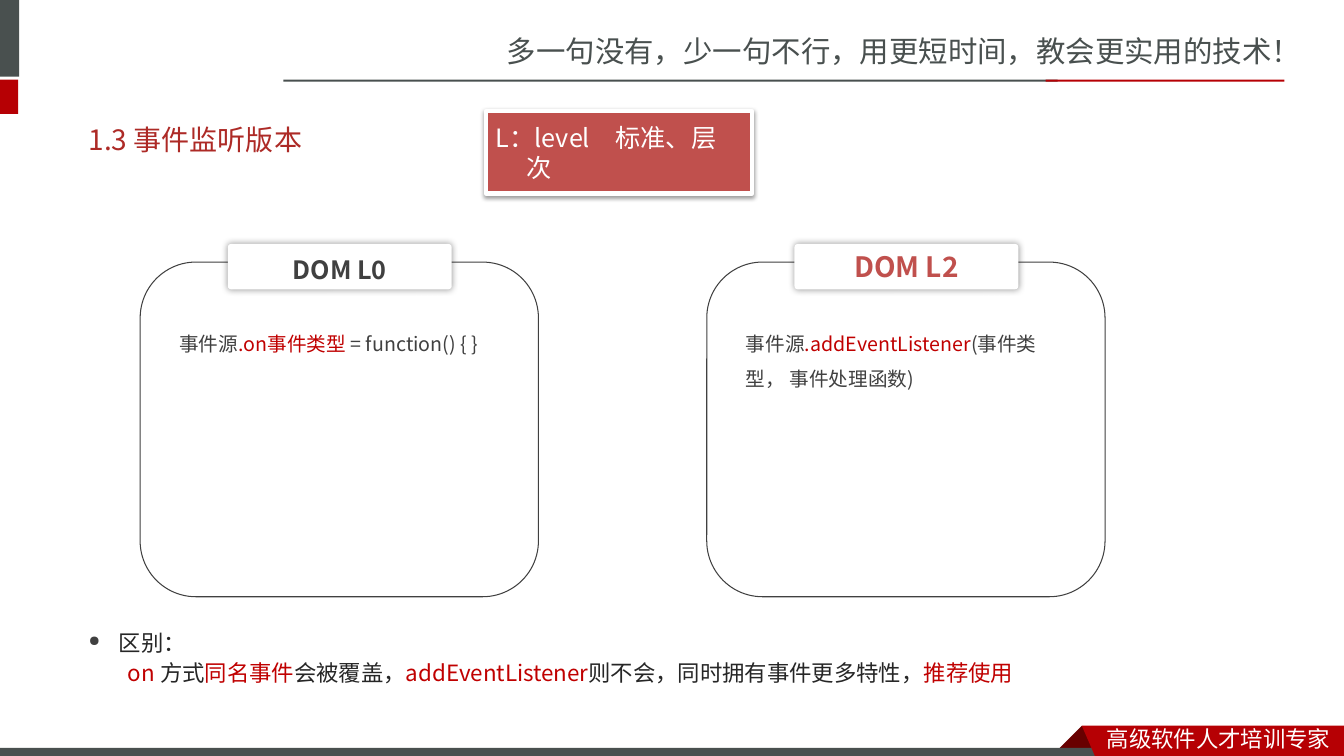
from lxml import etree
from pptx import Presentation, util as u
from pptx.dml.color import RGBColor
from pptx.enum import shapes, text
from pptx.oxml import ns

WIDE, HIGH = 13.33, 7.5
SLATE = RGBColor(0x49, 0x50, 0x4F)
RED = RGBColor(0xB6, 0x00, 0x04)
DARK = RGBColor(0x68, 0x00, 0x00)
TITLE = RGBColor(0xAD, 0x2A, 0x26)
BRICK = RGBColor(0xC0, 0x50, 0x4D)
HOT = RGBColor(0xC0, 0x00, 0x00)
GRAY = RGBColor(0x40, 0x40, 0x40)
INK = RGBColor(0x26, 0x26, 0x26)
WHITE = RGBColor(0xFF, 0xFF, 0xFF)
SC, JP = "Noto Sans CJK SC", "Noto Sans CJK JP"
RECT = shapes.MSO_SHAPE.RECTANGLE
ROUND = shapes.MSO_SHAPE.ROUNDED_RECTANGLE
LEFT, MID = text.PP_ALIGN.LEFT, text.PP_ALIGN.CENTER


def paint(shape, fill=None, line=None, weight=0.75):
    """Set the fill and outline of a shape and drop its shadow."""
    shape.shadow.inherit = False
    if fill is None:
        shape.fill.background()
    else:
        shape.fill.solid()
        shape.fill.fore_color.rgb = fill
    if line is None:
        shape.line.fill.background()
    else:
        shape.line.color.rgb = line
        shape.line.width = u.Pt(weight)
    return shape


def block(slide, box, kind=RECT, **look):
    """Add a preset shape in the given box."""
    shape = slide.shapes.add_shape(kind, *map(u.Inches, box))
    return paint(shape, **look)


def outline(slide, points, fill):
    """Add a filled polygon through the given points."""
    spots = [(u.Inches(x), u.Inches(y)) for x, y in points]
    path = slide.shapes.build_freeform(*spots[0])
    path.add_line_segments(spots[1:])
    return paint(path.convert_to_shape(), fill=fill)


def shade(shape, alpha, blur, dist, angle):
    """Give a shape a soft black outer shadow."""
    effects = shape._element.spPr.find(ns.qn("a:effectLst"))
    outer = etree.SubElement(effects, ns.qn("a:outerShdw"), blurRad=str(u.Pt(blur)),
                             dist=str(u.Pt(dist)), dir=str(angle * 60000),
                             algn="ctr", rotWithShape="0")
    tint = etree.SubElement(outer, ns.qn("a:srgbClr"), val="000000")
    etree.SubElement(tint, ns.qn("a:alpha"), val=str(alpha * 1000))


def label(slide, box, words, **style):
    """Add a text box in the given box and write in it."""
    shape = slide.shapes.add_textbox(*map(u.Inches, box))
    write(shape, words, **style)
    return shape


def write(shape, *paras, size=16, font=JP, bold=False, align=LEFT,
          anchor=text.MSO_ANCHOR.TOP, pitch=None, dents=()):
    """Write paragraphs, each a list of (words, colour) runs."""
    frame = shape.text_frame
    frame.word_wrap = True
    frame.vertical_anchor = anchor
    for i, runs in enumerate(paras):
        para = frame.paragraphs[0] if i == 0 else frame.add_paragraph()
        para.alignment = align
        if pitch:
            para.line_spacing = u.Pt(pitch)
        if dents:
            props = para._p.get_or_add_pPr()
            margin, first = dents[i]
            props.set("marL", str(u.Inches(margin)))
            props.set("indent", str(u.Inches(first)))
        for words, color in runs:
            run = para.add_run()
            run.text = words
            run.font.size = u.Pt(size)
            run.font.bold = bold
            run.font.name = font
            run.font.color.rgb = color
            etree.SubElement(run._r.get_or_add_rPr(), ns.qn("a:ea"), typeface=font)


def header(slide):
    """Draw the corner marks, the slogan and its two-colour rule."""
    block(slide, (0, 0, 0.19, 0.76), fill=SLATE)
    block(slide, (0, 0.79, 0.18, 0.34), fill=RED)
    block(slide, (2.81, 0.79, 7.68, 0.02), fill=SLATE)
    block(slide, (10.37, 0.79, 2.37, 0.02), fill=RED)
    label(slide, (4.93, 0.28, 8.4, 0.47),
          [("多一句没有，少一句不行，用更短时间，教会更实用的技术！", SLATE)], size=21, font=SC)


def footer(slide):
    """Draw the bottom bar and the folded ribbon."""
    fold, top = 10.73, 7.2
    outline(slide, [(fold, top), (fold + 0.22, 7.42), (fold - 0.22, 7.42)], DARK)
    block(slide, (0, 7.42, 10.99, HIGH - 7.42), fill=SLATE)
    outline(slide, [(fold, top), (WIDE, top), (WIDE, HIGH), (fold + 0.13, HIGH)], RED)
    label(slide, (10.88, 7.14, WIDE - 10.88, 0.36),
          [("高级软件人才培训专家", WHITE)], size=16, font=SC)


def callout(slide, box):
    """Draw the framed note on the letter L."""
    note = block(slide, box, fill=BRICK, line=WHITE, weight=3)
    shade(note, 38, 3.1, 1.6, 90)
    note.text_frame.margin_right = u.Inches(0.14)
    write(note, [("L：level　标准、层次", WHITE)], size=18, pitch=21.4,
          anchor=text.MSO_ANCHOR.MIDDLE, dents=[(0.3, -0.3)])


def panel(slide, left, top, name, color, size, drop, width, code):
    """Draw a rounded panel with a name tab and a line of code."""
    block(slide, (left, top, 3.95, 3.32), ROUND, line=GRAY)
    tab = block(slide, (left + 0.87, top - 0.18, 2.22, 0.45), ROUND, fill=WHITE)
    tab.adjustments[0] = 0.07
    shade(tab, 40, 5, 0, 0)
    tab.text_frame.margin_top = u.Inches(0.05 + drop)
    write(tab, [(name, color)], size=size, bold=True, align=MID,
          anchor=text.MSO_ANCHOR.MIDDLE)
    label(slide, (left + 0.29, top + 0.53, width, 2.27), code, size=14, pitch=25)


def summary(slide, box):
    """Write the bulleted comparison below the panels."""
    shape = slide.shapes.add_textbox(*map(u.Inches, box))
    write(shape, [("区别：", INK)],
          [("on ", HOT), ("方式", INK), ("同名事件", HOT), ("会被覆盖，", INK),
           ("addEventListener", HOT), ("则不会，同时拥有事件更多特性，", INK),
           ("推荐使用", HOT)],
          size=16, pitch=22, dents=[(0.3, -0.3), (0.39, 0)])
    props = shape.text_frame.paragraphs[0]._p.get_or_add_pPr()
    tint = etree.SubElement(props, ns.qn("a:buClr"))
    etree.SubElement(tint, ns.qn("a:srgbClr"), val=str(GRAY))
    etree.SubElement(props, ns.qn("a:buSzPct"), val="65000")
    etree.SubElement(props, ns.qn("a:buChar"), char="●")


def main():
    """Build the slide and save it."""
    deck = Presentation()
    deck.slide_width, deck.slide_height = u.Inches(WIDE), u.Inches(HIGH)
    slide = deck.slides.add_slide(deck.slide_layouts[6])
    header(slide)
    footer(slide)
    label(slide, (0.78, 1.1, 4, 0.57), [("1.3 事件监听版本", TITLE)], size=20,
          anchor=text.MSO_ANCHOR.MIDDLE)
    callout(slide, (4.82, 1.1, 2.64, 0.82))
    panels = [
        ("DOM L0", GRAY, 18, 0.06, 3.54,
         [("事件源", GRAY), (".on事件类型 ", HOT), ("= function() { }", GRAY)]),
        ("DOM L2", BRICK, 20, 0, 3.24,
         [("事件源", GRAY), (".addEventListener", HOT), ("(事件类型， 事件处理函数)", GRAY)]),
    ]
    for i, parts in enumerate(panels):
        panel(slide, 1.39 + 5.62 * i, 2.6, *parts)
    summary(slide, (0.78, 6.15, 11.72, 0.75))
    deck.save("out.pptx")


if __name__ == "__main__":
    main()
